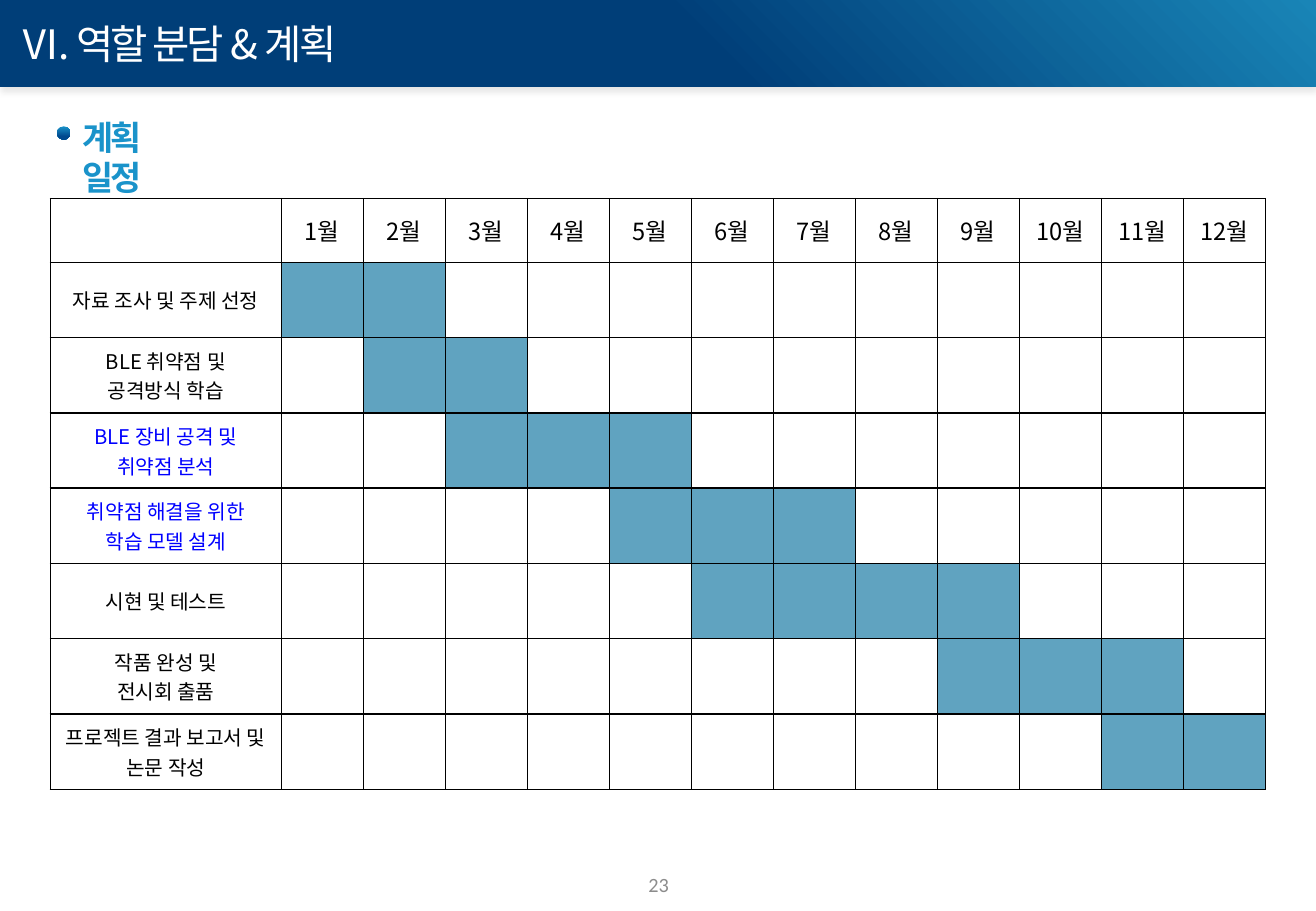
from lxml.etree import SubElement
from pptx import Presentation
from pptx.dml.color import RGBColor
from pptx.enum.shapes import MSO_SHAPE as Shape
from pptx.enum.text import MSO_ANCHOR as Anchor, PP_ALIGN as Align
from pptx.oxml import parse_xml
from pptx.oxml.ns import nsdecls, qn
from pptx.util import Pt

PX = 4572  # 200 px to the inch
FONT = "Noto Sans CJK KR"

WHITE = RGBColor(0xFF, 0xFF, 0xFF)
BLACK = RGBColor(0x00, 0x00, 0x00)
GRAY = RGBColor(0x8C, 0x8C, 0x8C)
BLUE = RGBColor(0x00, 0x00, 0xFF)
BAR = RGBColor(0x60, 0xA3, 0xC0)
BAND_LIGHT = RGBColor(0x19, 0x85, 0xB7)
BAND_DARK = RGBColor(0x00, 0x3E, 0x78)
DOT_LIGHT = RGBColor(0x1A, 0x93, 0xCA)
DOT_DARK = RGBColor(0x00, 0x49, 0x8E)

# Task, label colour, first month, last month
TASKS = [
    ("자료 조사 및 주제 선정", BLACK, 1, 2),
    ("BLE 취약점 및\v공격방식 학습", BLACK, 2, 3),
    ("BLE 장비 공격 및\v취약점 분석", BLUE, 3, 5),
    ("취약점 해결을 위한\v학습 모델 설계", BLUE, 5, 7),
    ("시현 및 테스트", BLACK, 6, 9),
    ("작품 완성 및\n전시회 출품", BLACK, 9, 11),
    ("프로젝트 결과 보고서 및 논문 작성", BLACK, 11, 12),
]
MONTHS = 12
LABEL_WIDTH, MONTH_WIDTH = 380, 135
HEADER_HEIGHT, TASK_HEIGHT = 105, 124


def px(*lengths):
    return [length * PX for length in lengths]


def write(frame, text, size, color, font=FONT, align=Align.LEFT, bold=False, spacing=0):
    frame.text = text
    for para in frame.paragraphs:
        para.alignment = align
        para.font.size = Pt(size)
        para.font.bold = bold
        para.font.color.rgb = color
        para.font.name = font
        properties = para._p.pPr.find(qn("a:defRPr"))
        SubElement(properties, qn("a:ea")).set("typeface", font)
        for span in para.runs:
            if spacing:
                span._r.get_or_add_rPr().set("spc", str(spacing))


def add_text(shapes, place, text, size, color, anchor=Anchor.TOP, **style):
    box = shapes.add_textbox(*px(*place))
    box.text_frame.word_wrap = True
    box.text_frame.vertical_anchor = anchor
    write(box.text_frame, text, size, color, **style)


def add_gradient(shapes, kind, place, stops, angle):
    shape = shapes.add_shape(kind, *px(*place))
    shape.shadow.inherit = False
    shape.line.fill.background()
    shape.fill.gradient()
    shape.fill.gradient_angle = angle
    for stop, (position, color) in zip(shape.fill.gradient_stops, stops):
        stop.position = position
        stop.color.rgb = color
    return shape


def add_shadow(shape):
    effects = shape._element.spPr.find(qn("a:effectLst"))
    effects.append(parse_xml(
        f'<a:outerShdw {nsdecls("a")} blurRad="{Pt(4)}" dist="{Pt(3)}" dir="5400000" '
        'algn="t" rotWithShape="0"><a:srgbClr val="000000">'
        '<a:alpha val="10000"/></a:srgbClr></a:outerShdw>'))


def add_borders(cell):
    properties = cell._tc.get_or_add_tcPr()
    for side in ("lnL", "lnR", "lnT", "lnB"):
        properties.append(parse_xml(
            f'<a:{side} {nsdecls("a")} w="{Pt(1)}"><a:solidFill>'
            f'<a:srgbClr val="{BLACK}"/></a:solidFill></a:{side}>'))


def fill_cell(cell, text="", size=12, color=BLACK, fill=None):
    add_borders(cell)
    if fill is None:
        cell.fill.background()
    else:
        cell.fill.solid()
        cell.fill.fore_color.rgb = fill
    cell.vertical_anchor = Anchor.MIDDLE
    write(cell.text_frame, text, size, color, align=Align.CENTER)


def add_schedule(page, left, top):
    width = LABEL_WIDTH + MONTHS * MONTH_WIDTH
    height = HEADER_HEIGHT + len(TASKS) * TASK_HEIGHT
    table = page.shapes.add_table(
        len(TASKS) + 1, MONTHS + 1, *px(left, top, width, height)).table
    table.first_row = table.horz_banding = False
    for index, column in enumerate(table.columns):
        column.width = (MONTH_WIDTH if index else LABEL_WIDTH) * PX
    for index, row in enumerate(table.rows):
        row.height = (TASK_HEIGHT if index else HEADER_HEIGHT) * PX

    # Month headings
    fill_cell(table.cell(0, 0))
    for month in range(1, MONTHS + 1):
        fill_cell(table.cell(0, month), f"{month}월", size=14)

    # Tasks and their bars
    for row, (task, color, first, last) in enumerate(TASKS, start=1):
        fill_cell(table.cell(row, 0), task, color=color)
        for month in range(1, MONTHS + 1):
            fill_cell(table.cell(row, month), fill=BAR if first <= month <= last else None)


def main():
    deck = Presentation()
    deck.slide_width, deck.slide_height = px(2166, 1500)
    page = deck.slides.add_slide(deck.slide_layouts[6])

    # Title band
    band = add_gradient(page.shapes, Shape.RECTANGLE, (0, 0, 2166, 142),
                        [(0, BAND_LIGHT), (0.47, BAND_DARK)], 225)
    add_shadow(band)
    add_text(page.shapes, (14, 22, 768, 100), "Ⅵ. 역할 분담 & 계획", 24, WHITE, spacing=-150)

    # Section heading with its dot
    heading = page.shapes.add_group_shape()
    add_text(heading.shapes, (116, 182, 220, 88), "계획 일정", 20, DOT_LIGHT,
             bold=True, spacing=-150)
    add_gradient(heading.shapes, Shape.OVAL, (94, 208, 22, 22),
                 [(0, DOT_LIGHT), (0.76, DOT_DARK)], 270)

    # Schedule
    add_schedule(page, 83, 327)

    # Page number
    add_text(page.shapes, (840, 1416, 488, 80), "23", 12, GRAY, anchor=Anchor.MIDDLE,
             font="Calibri", align=Align.CENTER)

    deck.save("out.pptx")


if __name__ == "__main__":
    main()
